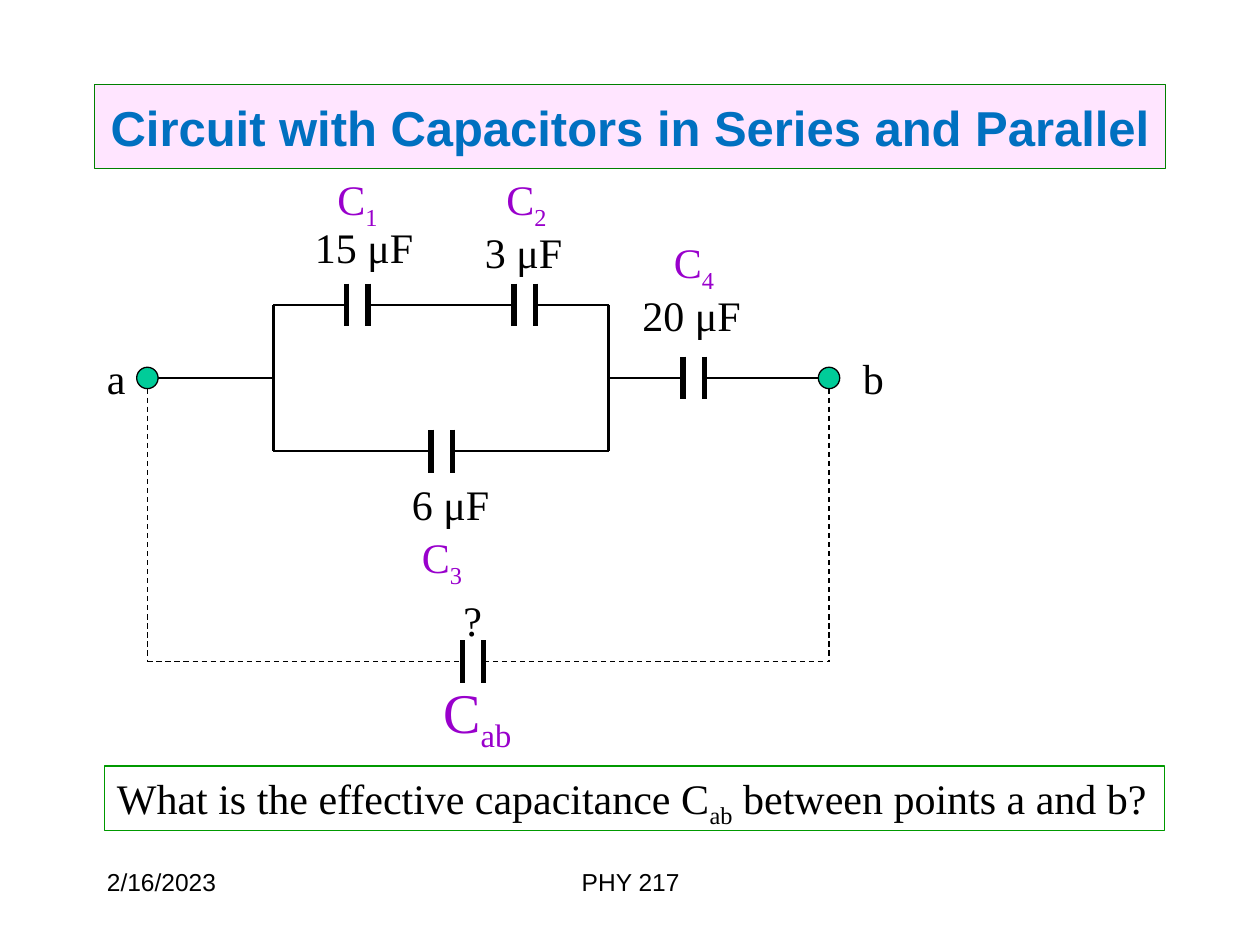
from lxml.etree import SubElement
from pptx import Presentation
from pptx.dml.color import RGBColor
from pptx.enum.dml import MSO_LINE
from pptx.enum.shapes import MSO_CONNECTOR, MSO_SHAPE
from pptx.enum.text import MSO_ANCHOR, MSO_AUTO_SIZE as AutoSize, PP_ALIGN
from pptx.oxml.ns import qn
from pptx.util import Inches, Pt

BLACK, PURPLE = "000000", "9900CC"
SERIF, SANS = "Times New Roman", "Arial"
GAP = 0.17
LEFT, RIGHT = 2.17, 4.83
TOP, MIDDLE, BOTTOM, EQUIVALENT = 2.42, 3, 3.58, 5.25
TERMINAL_A, TERMINAL_B = 1.17, 6.58


def color(value):
    return RGBColor.from_string(value)


def write(frame, text, size=24, font=SERIF, fill=BLACK, bold=False, align=PP_ALIGN.LEFT):
    """Parts between underscores become subscripts."""
    paragraph = frame.paragraphs[0]
    paragraph.alignment = align
    for index, part in enumerate(text.split("_")):
        if not part:
            continue
        run = paragraph.add_run()
        run.text = part
        run.font.size = Pt(size)
        run.font.name = font
        run.font.bold = bold
        run.font.color.rgb = color(fill)
        if index % 2:
            run.font._element.set("baseline", "-25000")


class CircuitSlide:
    wire_width = 1.5
    plate_width = 3
    thin_width = 0.75

    def __init__(self, presentation):
        self.slide = presentation.slides.add_slide(presentation.slide_layouts[5])
        self.shapes = self.slide.shapes

    def outline(self, shape, line):
        shape.line.color.rgb = color(line)
        shape.line.width = Pt(self.thin_width)

    def title(self, text, left, top, width, height):
        shape = self.shapes.title
        shape.left, shape.top = Inches(left), Inches(top)
        shape.width, shape.height = Inches(width), Inches(height)
        shape.fill.solid()
        shape.fill.fore_color.rgb = color("FFCCFF")
        fill_element = shape._element.spPr.find(qn("a:solidFill"))
        SubElement(fill_element[0], qn("a:alpha"), val="50000")
        self.outline(shape, "008000")
        frame = shape.text_frame
        frame.auto_size = AutoSize.NONE
        frame.vertical_anchor = MSO_ANCHOR.MIDDLE
        write(frame, text, size=28, font=SANS, fill="0070C0", bold=True, align=PP_ALIGN.CENTER)

    def line(self, x1, y1, x2, y2, width=wire_width, dashed=False):
        connector = self.shapes.add_connector(
            MSO_CONNECTOR.STRAIGHT, Inches(x1), Inches(y1), Inches(x2), Inches(y2))
        connector.line.color.rgb = color(BLACK)
        connector.line.width = Pt(width)
        if dashed:
            connector.line.dash_style = MSO_LINE.DASH
        SubElement(connector._element.spPr, qn("a:effectLst"))

    def branch(self, start, end, y, capacitors=(), **style):
        for plate in capacitors:
            self.line(start, y, plate, y, **style)
            start = plate + GAP
            for x in (plate, start):
                self.line(x, y - GAP, x, y + GAP, width=self.plate_width)
        self.line(start, y, end, y, **style)

    def terminal(self, x, y):
        shape = self.shapes.add_shape(
            MSO_SHAPE.OVAL, Inches(x - GAP / 2), Inches(y - GAP / 2), Inches(GAP), Inches(GAP))
        shape.shadow.inherit = False
        shape.fill.solid()
        shape.fill.fore_color.rgb = color("00CC99")
        self.outline(shape, BLACK)

    def label(self, text, left, top, width, height=0.5, wrap=False, grow=True, line=None, **style):
        box = self.shapes.add_textbox(Inches(left), Inches(top), Inches(width), Inches(height))
        frame = box.text_frame
        frame.word_wrap = wrap
        frame.auto_size = AutoSize.SHAPE_TO_FIT_TEXT if grow else AutoSize.NONE
        if line:
            self.outline(box, line)
        write(frame, text, **style)


def main():
    presentation = Presentation()
    presentation.slide_width, presentation.slide_height = Inches(10), Inches(7.5)
    circuit = CircuitSlide(presentation)
    circuit.title("Circuit with Capacitors in Series and Parallel", 0.75, 0.67, 8.5, 0.67)

    circuit.branch(TERMINAL_A + GAP / 2, LEFT, MIDDLE)
    circuit.branch(LEFT, RIGHT, TOP, (2.75, 4.08))
    circuit.branch(LEFT, RIGHT, BOTTOM, (3.42,))
    circuit.branch(RIGHT, TERMINAL_B - GAP / 2, MIDDLE, (5.42,))
    for x in (LEFT, RIGHT):
        circuit.line(x, TOP, x, BOTTOM)

    thin_dashes = {"width": circuit.thin_width, "dashed": True}
    circuit.branch(TERMINAL_A, TERMINAL_B, EQUIVALENT, (3.67,), **thin_dashes)
    for x in (TERMINAL_A, TERMINAL_B):
        circuit.line(x, MIDDLE + GAP / 2, x, EQUIVALENT, **thin_dashes)
        circuit.terminal(x, MIDDLE)

    for name, left, top in (("C_1_", 2.58, 1.33), ("C_2_", 3.92, 1.33),
                            ("C_3_", 3.25, 4.17), ("C_4_", 5.25, 1.83)):
        circuit.label(name, left, top, 0.53, fill=PURPLE)
    for value, left, top, width, wrap in (("15 μF", 2.4, 1.71, 0.98, False),
                                          ("3 μF", 3.75, 1.75, 0.82, True),
                                          ("6 μF", 3.17, 3.75, 0.82, True),
                                          ("20 μF", 5, 2.25, 0.98, False)):
        circuit.label(value, left, top, width, wrap=wrap)
    circuit.label("a", 0.75, 2.75, 0.35)
    circuit.label("b", 6.75, 2.75, 0.37)
    circuit.label("?", 3.58, 4.67, 0.35)
    circuit.label("C_ab_", 3.42, 5.33, 1, 0.63, wrap=True, size=32, fill=PURPLE)
    circuit.label("What is the effective capacitance C_ab_ between points a and b?",
                  0.83, 6.08, 8.41, 0.51, line="009900")

    footer = {"wrap": True, "grow": False, "size": 14, "font": SANS}
    circuit.label("2/16/2023", 0.75, 6.83, 2.08, **footer)
    circuit.label("PHY 217", 3.42, 6.83, 3.17, align=PP_ALIGN.CENTER, **footer)
    presentation.save("out.pptx")


if __name__ == "__main__":
    main()
